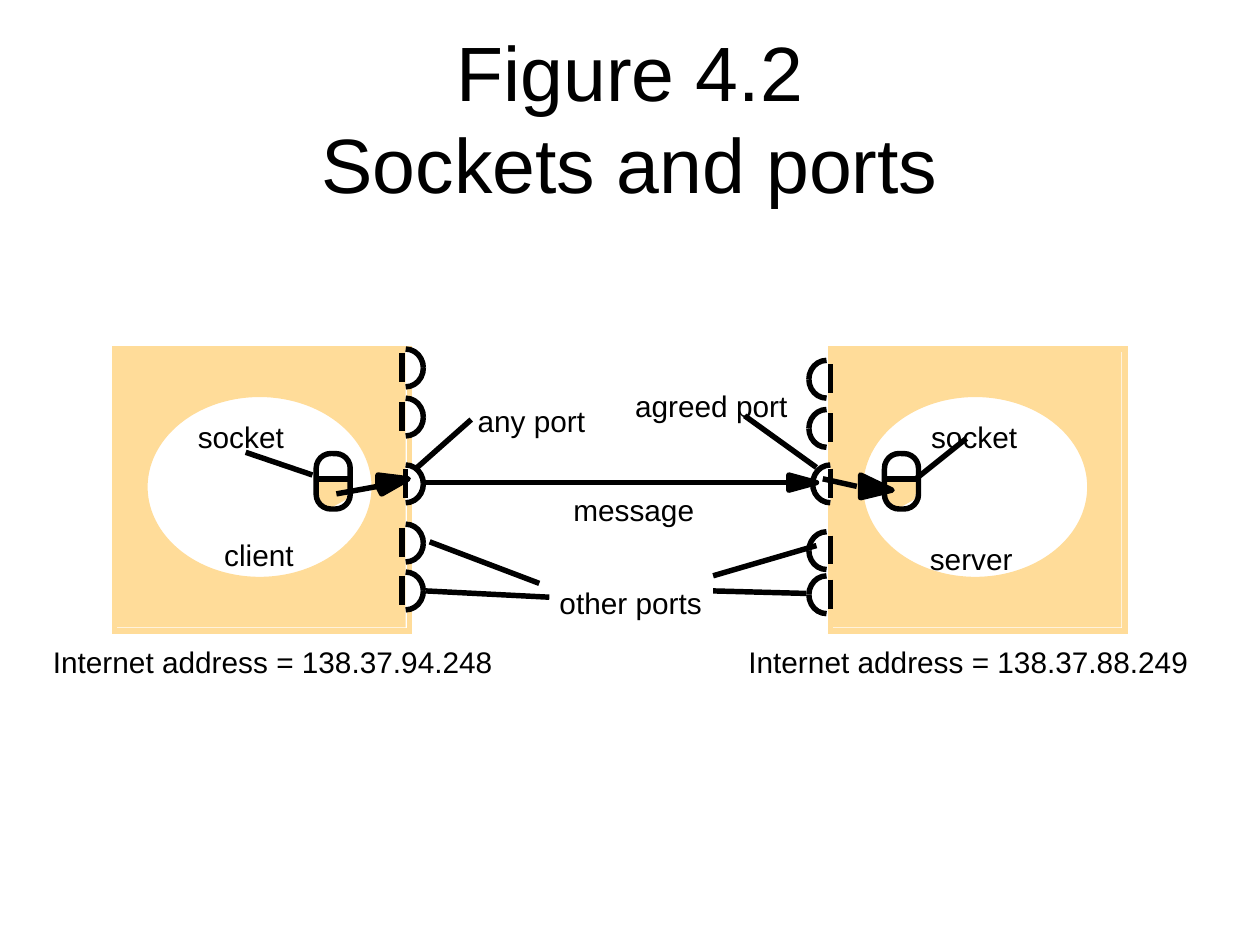
from lxml import etree
from pptx import Presentation
from pptx.dml.color import RGBColor
from pptx.enum.shapes import MSO_CONNECTOR, MSO_SHAPE
from pptx.enum.text import MSO_ANCHOR, PP_ALIGN
from pptx.oxml import parse_xml
from pptx.oxml.ns import nsdecls, qn
from pptx.util import Inches, Pt

RECT, OVAL = MSO_SHAPE.RECTANGLE, MSO_SHAPE.OVAL
ROUNDED = MSO_SHAPE.ROUNDED_RECTANGLE
STRAIGHT = MSO_CONNECTOR.STRAIGHT
BLACK = RGBColor(0x00, 0x00, 0x00)
WHITE = RGBColor(0xFF, 0xFF, 0xFF)
SAND = RGBColor(0xFF, 0xDC, 0x99)
FONT = "Arial"
STROKE = Pt(3.12)

# Content
TITLE = "Figure 4.2\vSockets and ports"
HOST_LEFTS = [0.91, 6.59]
SOCKET_LEFTS = [2.51, 7.02]
LABELS = [  # text, left, top, width
    ("message", 4.55, 3.9, 0.96),
    ("agreed port", 5.04, 3.08, 1.21),
    ("any port", 3.79, 3.2, 0.86),
    ("socket", 1.57, 3.32, 0.68),
    ("socket", 7.39, 3.32, 0.68),
    ("Internet address = 138.37.94.248", 0.42, 5.11, 3.49),
    ("Internet address = 138.37.88.249", 5.94, 5.11, 3.49),
    ("other ports", 4.44, 4.64, 1.13),
    ("client", 1.78, 4.26, 0.55),
    ("server", 7.38, 4.29, 0.66),
]
LABEL_SLACK = 0.08
# Ports: centre x, top, wall x
CLIENT_PORTS = [(3.22, top, 3.19) for top in (2.77, 3.16, 4.16, 4.54)] + [(3.22, 3.69, 3.22)]
SERVER_PORTS = [(6.56, top, 6.59) for top in (2.86, 3.25, 4.22, 4.57)] + [(6.59, 3.69, 6.59)]
PORT_W, PORT_H = 0.14, 0.15
POINTERS = [  # x1, y1, x2, y2
    (3.3, 3.72, 3.74, 3.33),
    (6.48, 3.71, 5.91, 3.3),
    (2.48, 3.77, 1.95, 3.59),
    (7.27, 3.8, 7.67, 3.48),
    (4.28, 4.63, 3.41, 4.3),
    (4.36, 4.74, 3.38, 4.69),
    (6.4, 4.71, 5.66, 4.69),
    (5.66, 4.57, 6.48, 4.33),
]
ARROWS = [  # head outline, shaft
    ([(6.26, 3.83), (6.26, 3.77), (6.48, 3.83), (6.26, 3.89)], (6.26, 3.83, 3.35, 3.83)),
    ([(3, 3.86), (3, 3.77), (3.24, 3.8), (3.03, 3.92)], (2.67, 3.92, 3, 3.86)),
    ([(6.83, 3.86), (6.83, 3.77), (7.08, 3.89), (6.83, 3.95)], (6.8, 3.86, 6.53, 3.8)),
]
BOWL = [(0, 0), (0.03, 0.15), (0.11, 0.21), (0.22, 0.15), (0.25, 0)]

prs = Presentation()
prs.slide_width, prs.slide_height = Inches(10), Inches(7.5)
s = prs.slides.add_slide(prs.slide_layouts[5])


def paint(sp, fill=None, line=None):
    sp.shadow.inherit = False
    if fill is None:
        sp.fill.background()
    else:
        sp.fill.solid()
        sp.fill.fore_color.rgb = fill
    if line is None:
        sp.line.fill.background()
    else:
        sp.line.color.rgb = line
        sp.line.width = STROKE


def shape(kind, left, top, width, height, fill=None, line=None):
    sp = s.shapes.add_shape(kind, Inches(left), Inches(top), Inches(width), Inches(height))
    paint(sp, fill, line)
    return sp


def line(x1, y1, x2, y2):
    c = s.shapes.add_connector(STRAIGHT, Inches(x1), Inches(y1), Inches(x2), Inches(y2))
    c.line.color.rgb = BLACK
    c.line.width = STROKE
    etree.SubElement(c._element.spPr, qn("a:effectLst"))


def polygon(points, fill, color):
    pts = [(Inches(x), Inches(y)) for x, y in points]
    builder = s.shapes.build_freeform(*pts[0])
    builder.add_line_segments(pts[1:], close=True)
    sp = builder.convert_to_shape()
    paint(sp, fill, color)
    return sp


def quadrant(x, y, dx, dy):
    """Filled quarter disc around (x, y) with only its arc stroked."""
    sp = polygon([(x, y), (x + dx, y), (x, y + dy)], WHITE, BLACK)
    w, h = Inches(PORT_W), Inches(PORT_H)
    cx, cy = (0 if dx > 0 else w), (0 if dy > 0 else h)
    start = 0 if dx > 0 else 180
    sweep = 90 if dx * dy > 0 else -90
    arc = (f'<a:moveTo><a:pt x="{w - cx}" y="{cy}"/></a:moveTo>'
           f'<a:arcTo wR="{w}" hR="{h}" stAng="{start * 60000}" swAng="{sweep * 60000}"/>')
    paths = parse_xml(
        f'<a:pathLst {nsdecls("a")}><a:path w="{w}" h="{h}" fill="none">{arc}</a:path>'
        f'<a:path w="{w}" h="{h}" stroke="0">{arc}'
        f'<a:lnTo><a:pt x="{cx}" y="{cy}"/></a:lnTo><a:close/></a:path></a:pathLst>')
    old = sp._element.spPr.find(".//" + qn("a:pathLst"))
    old.getparent().replace(old, paths)


def port(x, top, wall, dx):
    for dy in (-PORT_H, PORT_H):
        quadrant(x, top + PORT_H, dx, dy)
    line(wall, top + 0.03, wall, top + 0.26)


def style(p, size):
    for r in p.runs:
        r.font.name, r.font.size = FONT, Pt(size)
        r.font.color.rgb = BLACK


# Title
title = s.shapes.title
title.left, title.top = Inches(0.5), Inches(0.3)
title.width, title.height = Inches(9), Inches(1.25)
tf = title.text_frame
tf.text = TITLE
tf.vertical_anchor = MSO_ANCHOR.MIDDLE
tf.paragraphs[0].alignment = PP_ALIGN.CENTER
style(tf.paragraphs[0], 44)

# Hosts with their processes
for left in HOST_LEFTS:
    shape(RECT, left, 2.77, 2.31, 2.21, fill=SAND)
    frame = shape(RECT, left, 2.77, 2.34, 2.24, line=SAND)
    etree.SubElement(frame.line._get_or_add_ln(), qn("a:miter"), lim="800000")
    shape(OVAL, left + 0.24, 3.13, 1.82, 1.47, WHITE, SAND)

# Labels
for text, left, top, width in LABELS:
    tb = s.shapes.add_textbox(Inches(left), Inches(top), Inches(width + LABEL_SLACK), Inches(0.28))
    tf = tb.text_frame
    tf.margin_left = tf.margin_right = tf.margin_top = tf.margin_bottom = 0
    tf.word_wrap = True
    tf.text = text
    style(tf.paragraphs[0], 17)

# Sockets
for left in SOCKET_LEFTS:
    polygon([(left + x, 3.8 + y) for x, y in BOWL], SAND, SAND)
    shape(ROUNDED, left, 3.6, 0.27, 0.44, line=BLACK).adjustments[0] = 0.43
    line(left, 3.8, left + 0.25, 3.8)

# Ports
for x, top, wall in CLIENT_PORTS:
    port(x, top, wall, PORT_W)
for x, top, wall in SERVER_PORTS:
    port(x, top, wall, -PORT_W)

# Pointers and message path
for ends in POINTERS:
    line(*ends)
for head, shaft in ARROWS:
    polygon(head, BLACK, BLACK)
    line(*shaft)

prs.save("out.pptx")
